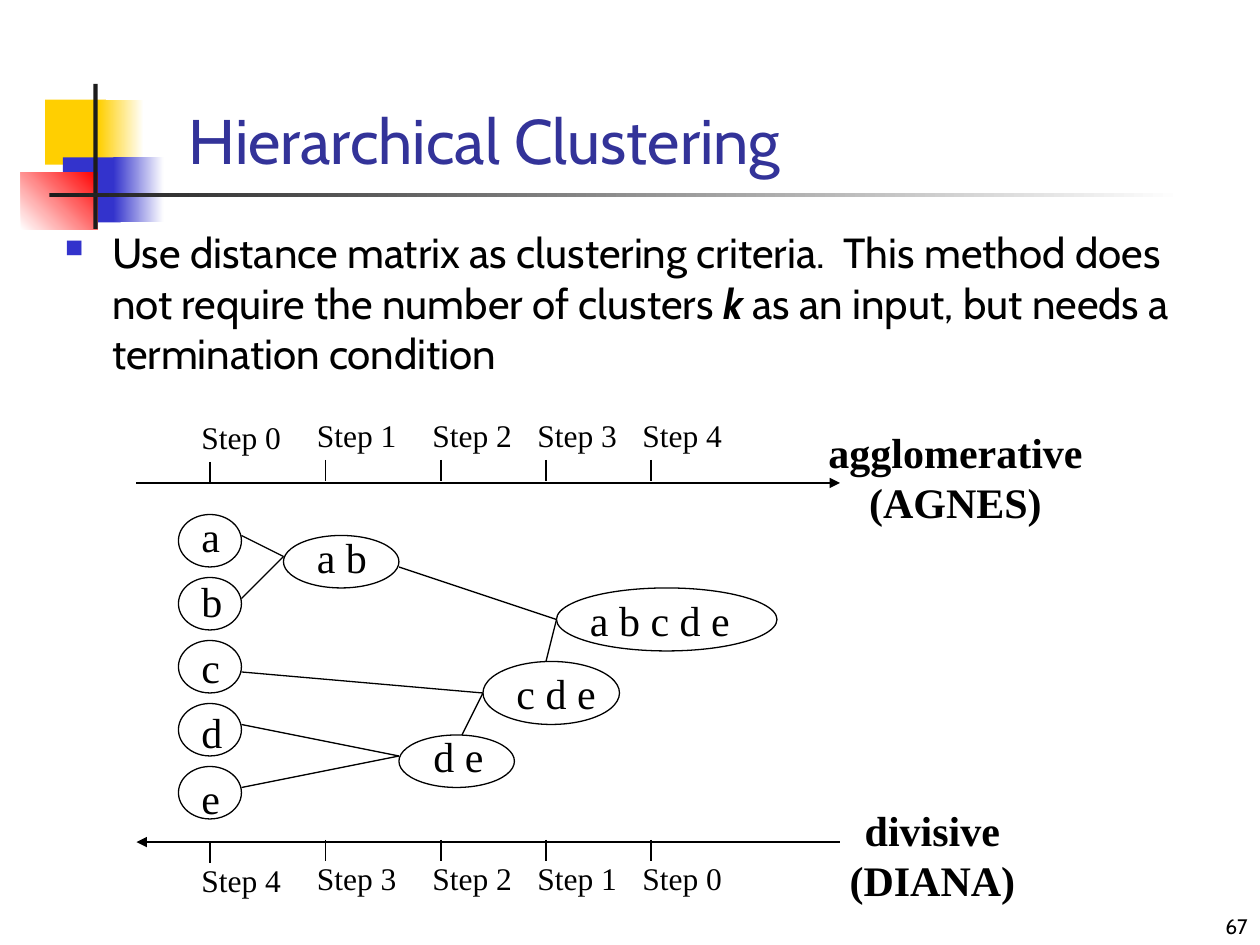
"""Build a slide on hierarchical clustering with its merge diagram."""
from lxml import etree
from pptx import Presentation
from pptx.dml.color import RGBColor
from pptx.enum import shapes, text
from pptx.oxml.ns import qn
from pptx.util import Pt

PX = 7620
HUES = {"black": "000000", "white": "FFFFFF", "gold": "FFCF01", "blue": "3333CC",
        "red": "FF0000", "coal": "1C1C1C", "title": "333399"}
HUE = {name: RGBColor.from_string(code) for name, code in HUES.items()}
SANS, SERIF = "Cabin", "Times New Roman"
LEFT, MID, RIGHT = text.PP_ALIGN.LEFT, text.PP_ALIGN.CENTER, text.PP_ALIGN.RIGHT
TOP, CENTRE, BASE = text.MSO_ANCHOR.TOP, text.MSO_ANCHOR.MIDDLE, text.MSO_ANCHOR.BOTTOM

deck = Presentation()
deck.slide_width, deck.slide_height = 1200 * PX, 900 * PX
slide = deck.slides.add_slide(deck.slide_layouts[6])
items = slide.shapes


def write(rows, box, size, face=SERIF, hue="black", bold=False, align=LEFT, anchor=TOP, wrap=False):
    frame = items.add_textbox(*(n * PX for n in box)).text_frame
    frame.word_wrap = wrap
    frame.vertical_anchor = anchor
    frame.text = rows
    for para in frame.paragraphs:
        para.alignment = align
        para.font.name, para.font.size, para.font.bold = face, Pt(size), bold
        para.font.color.rgb = HUE[hue]


def draw(x1, y1, x2, y2, width=0.75, arrow=None):
    line = items.add_connector(shapes.MSO_CONNECTOR.STRAIGHT, x1 * PX, y1 * PX, x2 * PX, y2 * PX)
    line.line.width = Pt(width)
    line.line.color.rgb = HUE["black"]
    if arrow:
        etree.SubElement(line.line._ln, qn(f"a:{arrow}"), type="triangle")
    etree.SubElement(line._element.spPr, qn("a:effectLst"))


for box, start, end, angle in [
    ((43, 95, 58, 62), "gold", None, 0),
    ((94, 95, 43, 62), "gold", "white", 0),
    ((60, 150, 55, 62), "blue", None, 0),
    ((108, 150, 48, 62), "blue", "white", 0),
    ((20, 164, 73, 55), "white", "red", 45),
    ((89, 80, 4, 138), "coal", None, 0),
    ((47, 184, 1080, 4), "coal", "white", 0),
]:
    block = items.add_shape(shapes.MSO_SHAPE.RECTANGLE, *(n * PX for n in box))
    block.shadow.inherit = False
    block.line.fill.background()
    if end:
        block.fill.gradient()
        block.fill.gradient_angle = angle
        for stop, hue in zip(block.fill.gradient_stops, (start, end)):
            stop.color.rgb = HUE[hue]
    else:
        block.fill.solid()
        block.fill.fore_color.rgb = HUE[start]

write("67", (950, 850, 250, 50), 12, SANS, align=RIGHT, anchor=BASE, wrap=True)
write("Hierarchical Clustering", (168, 104, 958, 58), 36, SANS, "title", anchor=CENTRE, wrap=True)

body = items.add_textbox(50 * PX, 210 * PX, 1090 * PX, 640 * PX).text_frame
body.word_wrap = True
para = body.paragraphs[0]
props = para._p.get_or_add_pPr()
props.set("marL", str(45 * PX))
props.set("indent", str(-45 * PX))
tint = etree.SubElement(props, qn("a:buClr"))
etree.SubElement(tint, qn("a:srgbClr"), val=HUES["blue"])
etree.SubElement(props, qn("a:buSzPct"), val="60000")
etree.SubElement(props, qn("a:buChar"), char="■")
para.font.name, para.font.size = SANS, Pt(24)
para.font.color.rgb = HUE["black"]
for words, strong in [
    ("Use distance matrix as clustering criteria.  This method does not require "
     "the number of clusters ", False),
    ("k", True),
    (" as an input, but needs a termination condition", False),
]:
    run = para.add_run()
    run.text = words
    run.font.bold = run.font.italic = strong

draw(130, 460, 800, 460, 1.5, "tailEnd")
draw(130, 802, 800, 802, 1.5, "headEnd")
for step, x in enumerate((200, 310, 420, 520, 620)):
    drop = 0 if step else 2
    for tick, label, num in ((438, 390, step), (800, 812, 4 - step)):
        draw(x, tick + drop, x, tick + drop + 20)
        write(f"Step {num}", (x - 20, label + drop, 100, 48), 18, wrap=True)

nodes = [(name, (180, 480 + 125 * i // 2, 43, 60), (170, 490 + 60 * i, 60, 50))
         for i, name in enumerate("abcde")]
nodes += [
    ("a b", (290, 500, 72, 60), (270, 510, 110, 50)),
    ("d e", (401, 690, 72, 60), (380, 700, 110, 50)),
    ("c d e", (480, 630, 100, 60), (460, 630, 130, 60)),
    ("a b c d e", (550, 560, 157, 60), (530, 560, 210, 60)),
]
for name, box, ring in nodes:
    write(name, box, 24)
    oval = items.add_shape(shapes.MSO_SHAPE.OVAL, *(n * PX for n in ring))
    oval.shadow.inherit = False
    oval.fill.background()
    oval.line.width = Pt(0.75)
    oval.line.color.rgb = HUE["black"]

for link in [
    (230, 510, 270, 530), (230, 570, 270, 530),
    (230, 690, 380, 720), (230, 750, 380, 720),
    (230, 640, 460, 660), (440, 700, 460, 660),
    (380, 540, 530, 590), (520, 630, 530, 590),
]:
    draw(*link)

for rows, x, y, wide in (("agglomerative\n(AGNES)", 770, 400, 280),
                         ("divisive\n(DIANA)", 778, 760, 220)):
    write(rows, (x, y, wide, 108), 24, bold=True, align=MID, wrap=True)

deck.save("out.pptx")
